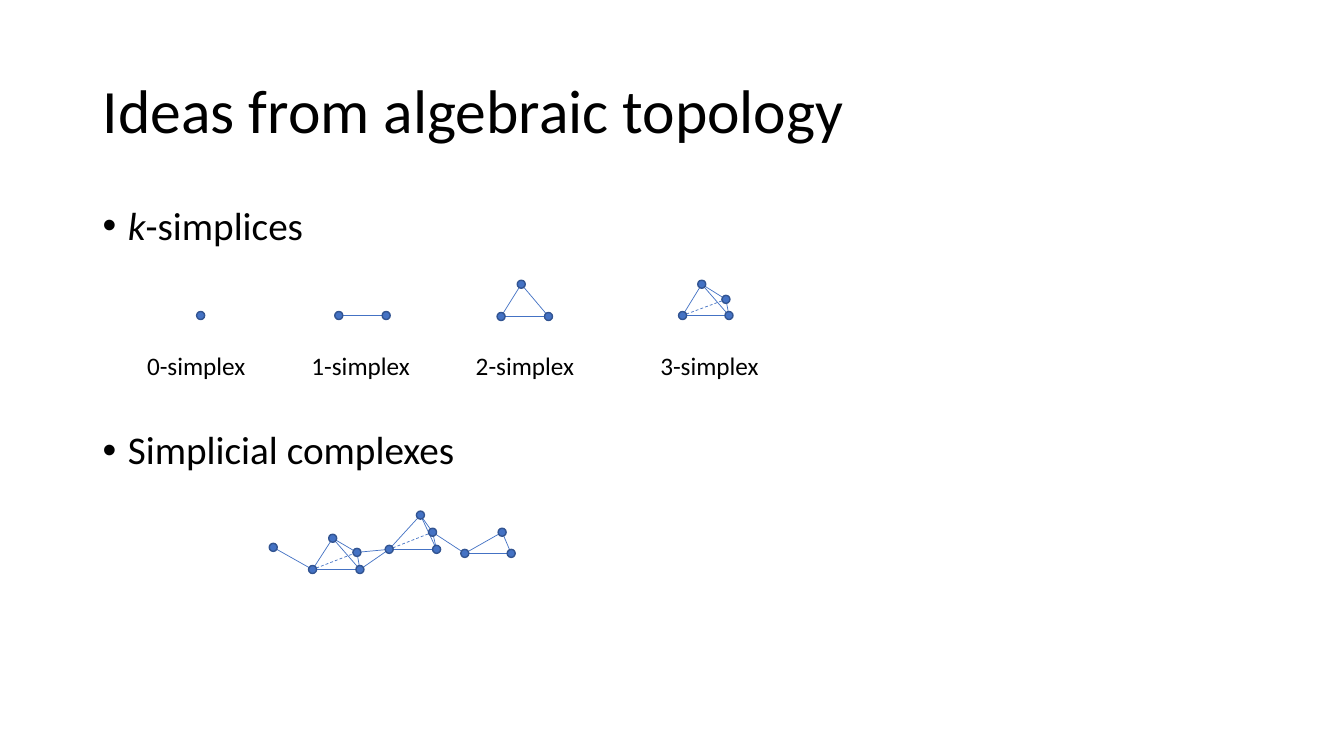
from itertools import combinations
from math import hypot

from lxml import etree
from pptx import Presentation
from pptx.dml.color import RGBColor
from pptx.enum.dml import MSO_LINE
from pptx.enum.shapes import MSO_CONNECTOR, MSO_SHAPE
from pptx.enum.text import MSO_ANCHOR, MSO_AUTO_SIZE, PP_ALIGN
from pptx.oxml.ns import qn
from pptx.util import Inches, Pt

STRAIGHT, OVAL, DASH = MSO_CONNECTOR.STRAIGHT, MSO_SHAPE.OVAL, MSO_LINE.DASH
BLUE = RGBColor(0x44, 0x72, 0xC4)
DARK_BLUE = RGBColor(0x32, 0x54, 0x91)
BLACK = RGBColor(0, 0, 0)
FONT = "Calibri"
DOT = 0.08

TITLE = "Ideas from algebraic topology"
# Each bullet: space before in points, then (text, italic) runs
BULLETS = [
    (0, [("k", True), ("-simplices", False)]),
    (130, [("Simplicial complexes", False)]),
]
LABELS = [("0-simplex", 1.36), ("1-simplex", 2.99), ("2-simplex", 4.62), ("3-simplex", 6.45)]

# Vertex centres in inches: left, right, top, back
EXAMPLES = [
    [(1.99, 3.13)],
    [(3.36, 3.13), (3.83, 3.13)],
    [(4.97, 3.14), (5.44, 3.14), (5.17, 2.82)],
    [(6.77, 3.13), (7.23, 3.13), (6.96, 2.82), (7.2, 2.97)],
]
POINT = [(2.71, 5.43)]
LOW_TETRA = [(3.1, 5.65), (3.57, 5.65), (3.3, 5.34), (3.54, 5.48)]
HIGH_TETRA = [(3.86, 5.45), (4.33, 5.45), (4.17, 5.11), (4.29, 5.28)]
TRIANGLE = [(4.61, 5.49), (5.07, 5.49), (4.98, 5.28)]
COMPLEX = [POINT, LOW_TETRA, HIGH_TETRA, TRIANGLE]
BRIDGES = [
    (POINT[0], LOW_TETRA[0]),
    (LOW_TETRA[1], HIGH_TETRA[0]),
    (LOW_TETRA[3], HIGH_TETRA[0]),
    (HIGH_TETRA[3], TRIANGLE[0]),
]
HIDDEN_EDGE = (0, 3)


def style(p, size):
    p.font.name, p.font.size, p.font.color.rgb = FONT, Pt(size), BLACK


def add_edge(s, a, b, dashed=False):
    """Join two vertices from rim to rim."""
    (ax, ay), (bx, by) = a, b
    cut = DOT / 2 / hypot(bx - ax, by - ay)
    dx, dy = (bx - ax) * cut, (by - ay) * cut
    edge = s.shapes.add_connector(STRAIGHT, Inches(ax + dx), Inches(ay + dy),
                                  Inches(bx - dx), Inches(by - dy))
    edge.line.color.rgb = BLUE
    edge.line.width = Pt(0.5)
    if dashed:
        edge.line.dash_style = DASH
    etree.SubElement(edge._element.spPr, qn("a:effectLst"))


def add_simplex(s, vertices):
    """Draw the vertices and join every pair of them."""
    for pair in combinations(range(len(vertices)), 2):
        add_edge(s, vertices[pair[0]], vertices[pair[1]], pair == HIDDEN_EDGE)
    for x, y in vertices:
        dot = s.shapes.add_shape(OVAL, Inches(x - DOT / 2), Inches(y - DOT / 2),
                                 Inches(DOT), Inches(DOT))
        dot.shadow.inherit = False
        dot.fill.solid()
        dot.fill.fore_color.rgb = BLUE
        dot.line.color.rgb = DARK_BLUE
        dot.line.width = Pt(1)


def add_bullets(s):
    tf = s.shapes.add_textbox(Inches(0.92), Inches(2), Inches(11.5), Inches(4.76)).text_frame
    tf.word_wrap = True
    for i, (space, runs) in enumerate(BULLETS):
        p = tf.paragraphs[0] if i == 0 else tf.add_paragraph()
        style(p, 28)
        p.line_spacing = 0.9
        p.space_before = Pt(space)
        for text, italic in runs:
            r = p.add_run()
            r.text, r.font.italic = text, italic
        pPr = p._p.get_or_add_pPr()
        pPr.set("marL", str(Inches(0.25)))
        pPr.set("indent", str(Inches(-0.25)))
        bullet_font = etree.Element(qn("a:buFont"), typeface="Arial")
        bullet = etree.Element(qn("a:buChar"), char="•")
        pPr.find(qn("a:defRPr")).addprevious(bullet_font)
        bullet_font.addnext(bullet)


def main():
    prs = Presentation()
    prs.slide_width, prs.slide_height = Inches(13.33), Inches(7.5)
    s = prs.slides.add_slide(prs.slide_layouts[5])

    title = s.shapes.title
    title.left, title.top = Inches(0.92), Inches(0.4)
    title.width, title.height = Inches(11.5), Inches(1.45)
    tf = title.text_frame
    tf.text = TITLE
    tf.auto_size = MSO_AUTO_SIZE.NONE
    tf.vertical_anchor = MSO_ANCHOR.MIDDLE
    p = tf.paragraphs[0]
    p.alignment = PP_ALIGN.LEFT
    p.line_spacing = 0.9
    style(p, 44)

    add_bullets(s)
    for label, left in LABELS:
        tf = s.shapes.add_textbox(Inches(left), Inches(3.43), Inches(1.19), Inches(0.4)).text_frame
        tf.word_wrap = False
        tf.text = label
        style(tf.paragraphs[0], 18)

    for a, b in BRIDGES:
        add_edge(s, a, b)
    for vertices in EXAMPLES + COMPLEX:
        add_simplex(s, vertices)

    prs.save("out.pptx")


if __name__ == "__main__":
    main()
